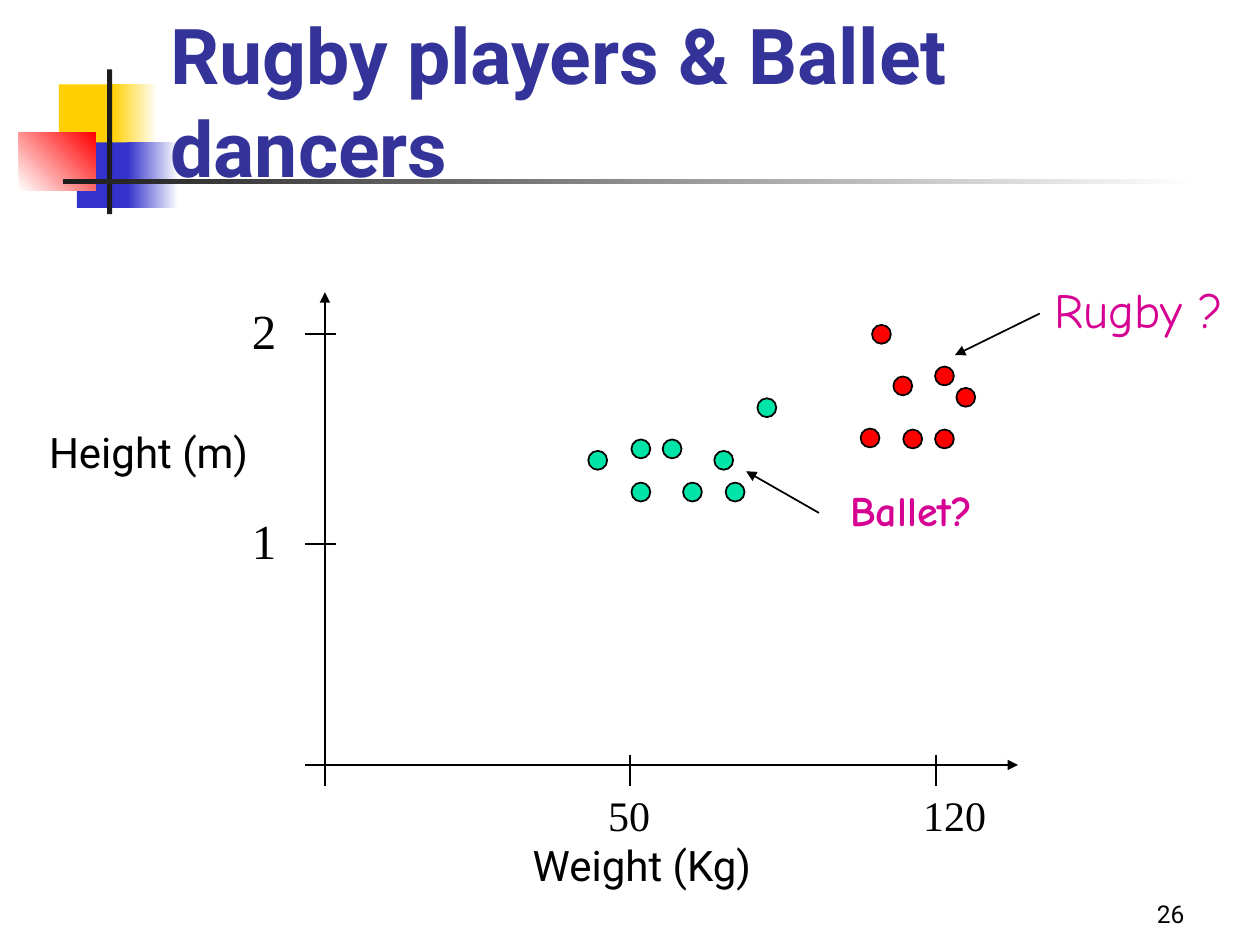
from dataclasses import dataclass

from lxml import etree
from pptx import Presentation
from pptx import util as u
from pptx.dml.color import RGBColor
from pptx.enum import shapes, text
from pptx.oxml.ns import qn

COLOURS = {
    "yellow": "FFCF01", "blue": "3333CC", "red": "FF0000", "white": "FFFFFF",
    "charcoal": "1C1C1C", "black": "000000", "navy": "333399",
    "magenta": "D60093", "green": "00E4A8",
}
DOT_SIZE = 0.38


@dataclass
class Block:
    left: float
    top: float
    width: float
    height: float
    colours: tuple  # one colour is solid, two make a gradient
    angle: float = 0


@dataclass
class Label:
    words: str
    left: float
    top: float
    width: float
    height: float
    size: float = 24
    font: str = "Roboto"
    colour: str = "black"
    bold: bool = False


@dataclass
class Line:
    start: tuple
    end: tuple
    arrow: bool = False


def rgb(name: str) -> RGBColor:
    return RGBColor.from_string(COLOURS[name])


def format_text(paragraph, size: float, font: str, colour: str, bold: bool) -> None:
    values = {"size": u.Pt(size), "name": font, "bold": bold}
    for name, value in values.items():
        setattr(paragraph.font, name, value)
    paragraph.font.color.rgb = rgb(colour)


def draw_block(slide, block: Block) -> None:
    box = map(u.Cm, (block.left, block.top, block.width, block.height))
    shape = slide.shapes.add_shape(shapes.MSO_SHAPE.RECTANGLE, *box)
    shape.shadow.inherit = False
    shape.line.fill.background()
    if len(block.colours) == 1:
        shape.fill.solid()
        shape.fill.fore_color.rgb = rgb(block.colours[0])
        return
    shape.fill.gradient()
    shape.fill.gradient_angle = block.angle
    for position, (stop, colour) in enumerate(zip(shape.fill.gradient_stops, block.colours)):
        stop.position = position
        stop.color.rgb = rgb(colour)


def draw_label(slide, label: Label):
    box = map(u.Cm, (label.left, label.top, label.width, label.height))
    shape = slide.shapes.add_textbox(*box)
    frame = shape.text_frame
    frame.word_wrap = False
    frame.auto_size = text.MSO_AUTO_SIZE.SHAPE_TO_FIT_TEXT
    frame.text = label.words
    format_text(frame.paragraphs[0], label.size, label.font, label.colour, label.bold)
    return shape


def draw_line(slide, line: Line) -> None:
    ends = map(u.Cm, (*line.start, *line.end))
    connector = slide.shapes.add_connector(shapes.MSO_CONNECTOR.STRAIGHT, *ends)
    connector.line.color.rgb = rgb("black")
    connector.line.width = u.Pt(1)
    if line.arrow:
        etree.SubElement(connector.line._get_or_add_ln(), qn("a:tailEnd"), type="triangle")
    etree.SubElement(connector._element.spPr, qn("a:effectLst"))


def draw_dot(slide, left: float, top: float, colour: str) -> None:
    box = map(u.Cm, (left, top, DOT_SIZE, DOT_SIZE))
    shape = slide.shapes.add_shape(shapes.MSO_SHAPE.OVAL, *box)
    shape.shadow.inherit = False
    shape.fill.solid()
    shape.fill.fore_color.rgb = rgb(colour)
    shape.line.color.rgb = rgb("black")
    shape.line.width = u.Pt(1)


BLOCKS = [
    Block(1.19, 1.7, 1.22, 1.32, ("yellow",)),
    Block(2.26, 1.7, 0.91, 1.32, ("yellow", "white")),
    Block(1.55, 2.87, 1.17, 1.32, ("blue",)),
    Block(2.57, 2.87, 1.02, 1.32, ("blue", "white")),
    Block(0.38, 2.67, 1.55, 1.17, ("white", "red"), 45),
    Block(2.16, 1.4, 0.1, 2.92, ("charcoal",)),
    Block(1.27, 3.61, 22.86, 0.1, ("charcoal", "white")),
]
LINES = [
    Line((6.55, 15.85), (6.55, 5.89), True),    # height axis
    Line((6.15, 15.42), (20.52, 15.42), True),  # weight axis
    *(Line((6.78, y), (6.15, y)) for y in (6.73, 10.97)),
    *(Line((x, 15.21), (x, 15.85)) for x in (12.7, 18.87)),
    Line((20.96, 6.32), (19.25, 7.16), True),   # to the rugby players
    Line((16.51, 10.34), (15.04, 9.5), True),   # to the ballet dancers
]
LABELS = [
    Label("2", 4.83, 5.94, 0.99, 1.42, 28, "Times New Roman"),
    Label("1", 4.83, 10.16, 0.99, 1.42, 28, "Times New Roman"),
    Label("50", 12.01, 15.8, 1.35, 1.27, 24, "Times New Roman"),
    Label("120", 18.36, 15.8, 1.78, 1.27, 24, "Times New Roman"),
    Label("Height (m)", 0.74, 8.48, 4.7, 1.27),
    Label("Weight (Kg)", 10.49, 16.79, 5.11, 1.27),
    Label("Rugby ?", 21.01, 5.51, 3.91, 1.42, 28, "Comic Neue", "magenta"),
    Label("Ballet?", 16.89, 9.65, 3.28, 1.27, 24, "Comic Neue", "magenta", True),
]
DOTS = {
    "green": [(11.86, 9.09), (12.73, 9.73), (13.36, 8.86), (14.4, 9.09),
              (15.27, 8.03), (13.77, 9.73), (12.73, 8.86), (14.63, 9.73)],
    "red": [(17.58, 6.55), (18.01, 7.59), (19.28, 7.82), (18.85, 8.66),
            (18.85, 7.39), (18.21, 8.66), (17.35, 8.64)],
}


def main() -> None:
    presentation = Presentation()
    presentation.slide_width, presentation.slide_height = u.Cm(25.4), u.Cm(19.05)
    slide = presentation.slides.add_slide(presentation.slide_layouts[5])

    # Corner decoration
    for block in BLOCKS:
        draw_block(slide, block)

    # Title, in front of the decoration
    title = slide.shapes.title
    slide.shapes._spTree.append(title._element)
    place = {"left": 3.18, "top": 0.43, "width": 21.59, "height": 3.18}
    for name, value in place.items():
        setattr(title, name, u.Cm(value))
    frame = title.text_frame
    frame.text = "Rugby players & Ballet dancers"
    frame.word_wrap = True
    frame.auto_size = text.MSO_AUTO_SIZE.NONE
    frame.vertical_anchor = text.MSO_ANCHOR.MIDDLE
    frame.paragraphs[0].alignment = text.PP_ALIGN.LEFT
    format_text(frame.paragraphs[0], 44, "Roboto", "navy", True)

    # Slide number
    number = draw_label(slide, Label("26", 18.85, 17.58, 5.28, 1.27, 14)).text_frame
    number.word_wrap = True
    number.auto_size = text.MSO_AUTO_SIZE.NONE
    number.vertical_anchor = text.MSO_ANCHOR.BOTTOM
    number.paragraphs[0].alignment = text.PP_ALIGN.RIGHT

    # Scatter diagram
    for line in LINES:
        draw_line(slide, line)
    for label in LABELS:
        draw_label(slide, label)
    for colour, places in DOTS.items():
        for left, top in places:
            draw_dot(slide, left, top, colour)

    presentation.save("out.pptx")


if __name__ == "__main__":
    main()
